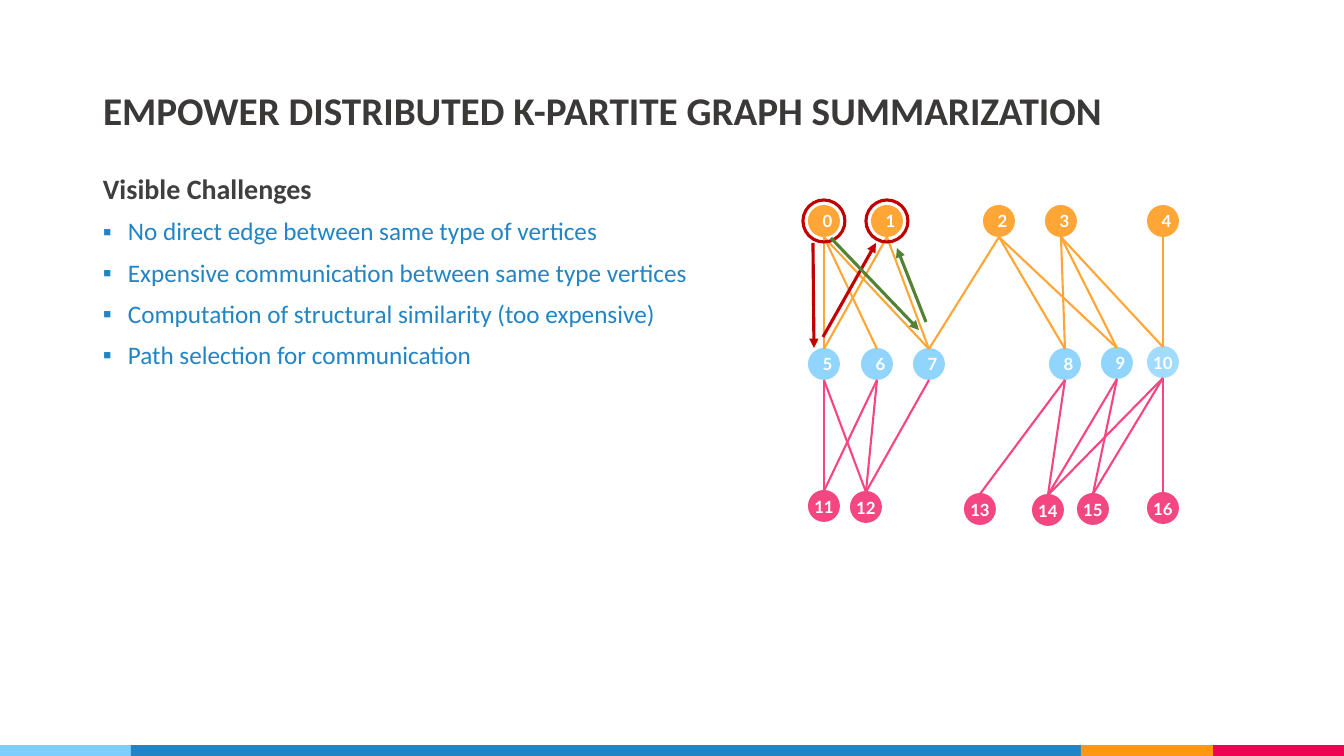
"""Build the slide on the challenges of k-partite graph summarization."""
from lxml import etree
from pptx import Presentation
from pptx.dml.color import RGBColor
from pptx.enum.shapes import MSO_CONNECTOR, MSO_SHAPE
from pptx.enum.text import MSO_ANCHOR, MSO_AUTO_SIZE, PP_ALIGN
from pptx.oxml.ns import qn
from pptx.util import Emu, Pt

RECTANGLE, OVAL = MSO_SHAPE.RECTANGLE, MSO_SHAPE.OVAL
STRAIGHT = MSO_CONNECTOR.STRAIGHT
MIDDLE, TOP = MSO_ANCHOR.MIDDLE, MSO_ANCHOR.TOP
LEFT, CENTER = PP_ALIGN.LEFT, PP_ALIGN.CENTER
NO_AUTOFIT = MSO_AUTO_SIZE.NONE

WHITE = RGBColor(0xFF, 0xFF, 0xFF)
TITLE_GRAY = RGBColor(0x3B, 0x38, 0x38)
HEADING_GRAY = RGBColor(0x3F, 0x3F, 0x3F)
BLUE = RGBColor(0x21, 0x85, 0xC5)
SKY = RGBColor(0x7E, 0xCE, 0xFD)
LIGHT_SKY = RGBColor(0x91, 0xD5, 0xFD)
ORANGE = RGBColor(0xFF, 0x97, 0x15)
CRIMSON = RGBColor(0xF2, 0x02, 0x53)
PINK = RGBColor(0xF3, 0x27, 0x6C)
ORANGE_EDGE = RGBColor(0xFF, 0xA6, 0x37)
PINK_EDGE = RGBColor(0xF5, 0x46, 0x81)
RED = RGBColor(0xC0, 0x00, 0x00)
GREEN = RGBColor(0x54, 0x82, 0x35)

EMU_PER_PX = 914400 / 100.8
WIDTH, HEIGHT = 1344, 756
BAR_TOP = 745
NODE_SIZE, RING_SIZE = 32, 42
LABEL_WIDTH, LABEL_HEIGHT = 43, 30


def px(*lengths):
    """Turn pixel lengths into EMU."""
    return [Emu(round(length * EMU_PER_PX)) for length in lengths]


def add_line(start, end, color, points):
    """Add a straight line without a shadow and return it."""
    connector = slide.shapes.add_connector(STRAIGHT, *px(*start, *end))
    connector.line.color.rgb = color
    connector.line.width = Pt(points)
    etree.SubElement(connector._element.spPr, qn("a:effectLst"))
    return connector


presentation = Presentation()
presentation.slide_width, presentation.slide_height = px(WIDTH, HEIGHT)
slide = presentation.slides.add_slide(presentation.slide_layouts[5])

bar_edges = [0, 131, 1081, 1213, WIDTH]
for left, right, color in zip(bar_edges, bar_edges[1:], [SKY, BLUE, ORANGE, CRIMSON]):
    bar = slide.shapes.add_shape(RECTANGLE, *px(left, BAR_TOP, right - left, HEIGHT - BAR_TOP))
    bar.shadow.inherit = False
    bar.fill.solid()
    bar.fill.fore_color.rgb = color
    bar.line.fill.background()

title = slide.shapes.title
title.left, title.top, title.width, title.height = px(93, 40, 1159, 146)
title.text_frame.text = "EMPOWER DISTRIBUTED K-PARTITE GRAPH SUMMARIZATION"
title.text_frame.auto_size = NO_AUTOFIT
title.text_frame.vertical_anchor = MIDDLE
paragraph = title.text_frame.paragraphs[0]
paragraph.alignment = LEFT
paragraph.line_spacing = 0.9
font = paragraph.runs[0].font
font.name, font.size, font.bold = "Calibri", Pt(28), True
font.color.rgb = TITLE_GRAY

body = slide.shapes.add_textbox(*px(93, 170, 1159, 544))
body.text_frame.word_wrap = True
body.text_frame.vertical_anchor = TOP
body.text_frame.text = "\n".join([
    "Visible Challenges",
    "No direct edge between same type of vertices",
    "Expensive communication between same type vertices",
    "Computation of structural similarity (too expensive)",
    "Path selection for communication",
])
for index, paragraph in enumerate(body.text_frame.paragraphs):
    is_heading = index == 0
    paragraph.line_spacing = 0.9
    paragraph.space_before = Pt(10)
    font = paragraph.runs[0].font
    font.name, font.size, font.bold = "Calibri", Pt(20 if is_heading else 18), is_heading
    font.color.rgb = HEADING_GRAY if is_heading else BLUE
    if not is_heading:
        properties = paragraph._p.get_or_add_pPr()
        indent = px(25)[0]
        properties.set("marL", str(indent))
        properties.set("indent", str(-indent))
        etree.SubElement(properties, qn("a:buFont"), typeface="Arial")
        etree.SubElement(properties, qn("a:buChar"), char="▪")

layers = [
    (ORANGE, 85, [(824, 221), (887, 221), (999, 221), (1061, 221), (1163, 221)]),
    (LIGHT_SKY, 100, [(824, 364), (877, 364), (929, 364), (1065, 364), (1117, 363)]),
    (LIGHT_SKY, 85, [(1163, 362)]),
    (PINK, 85, [(824, 506), (866, 507), (980, 509), (1048, 510), (1093, 509), (1163, 508)]),
]
nodes = []
for color, opacity, centers in layers:
    for x, y in centers:
        number = len(nodes)
        nodes.append((x, y))
        node = slide.shapes.add_shape(
            OVAL, *px(x - NODE_SIZE / 2, y - NODE_SIZE / 2, NODE_SIZE, NODE_SIZE))
        node.shadow.inherit = False
        node.fill.solid()
        node.fill.fore_color.rgb = color
        node.line.fill.background()
        if opacity < 100:
            rgb = node.fill._xPr.find(".//" + qn("a:srgbClr"))
            etree.SubElement(rgb, qn("a:alpha"), val=str(opacity * 1000))
        label = node
        if number >= 10:
            label = slide.shapes.add_textbox(*px(
                x - LABEL_WIDTH / 2, y + 1 - LABEL_HEIGHT / 2, LABEL_WIDTH, LABEL_HEIGHT))
        frame = label.text_frame
        frame.text = str(number)
        frame.word_wrap = True
        frame.vertical_anchor = MIDDLE
        frame.margin_left = frame.margin_right = frame.margin_top = frame.margin_bottom = px(10)[0]
        paragraph = frame.paragraphs[0]
        paragraph.alignment = CENTER
        font = paragraph.runs[0].font
        font.name, font.size, font.bold = "Lato", Pt(12), True
        font.color.rgb = WHITE

neighbors = {
    0: [5, 6, 7], 1: [5, 7], 2: [7, 8, 9], 3: [8, 9, 10], 4: [10],
    5: [11, 12], 6: [11, 12], 7: [12], 8: [13, 14], 9: [14, 15], 10: [14, 16, 15],
}
for upper, lowers in neighbors.items():
    upper_x, upper_y = nodes[upper]
    for lower in lowers:
        lower_x, lower_y = nodes[lower]
        add_line((upper_x, upper_y + NODE_SIZE // 2), (lower_x, lower_y - LABEL_HEIGHT // 2),
                 ORANGE_EDGE if upper < 5 else PINK_EDGE, 1.5)

for x, y in nodes[:2]:
    ring = slide.shapes.add_shape(
        OVAL, *px(x - RING_SIZE / 2, y - RING_SIZE / 2, RING_SIZE, RING_SIZE))
    ring.shadow.inherit = False
    ring.fill.background()
    ring.line.color.rgb = RED
    ring.line.width = Pt(2.25)

message_arrows = [
    ((813, 243), (814, 348), RED),
    ((823, 337), (876, 243), RED),
    ((831, 238), (919, 330), GREEN),
    ((926, 322), (897, 248), GREEN),
]
for start, end, color in message_arrows:
    arrow = add_line(start, end, color, 2.25)
    etree.SubElement(arrow.line._get_or_add_ln(), qn("a:tailEnd"), type="triangle")

presentation.save("out.pptx")
